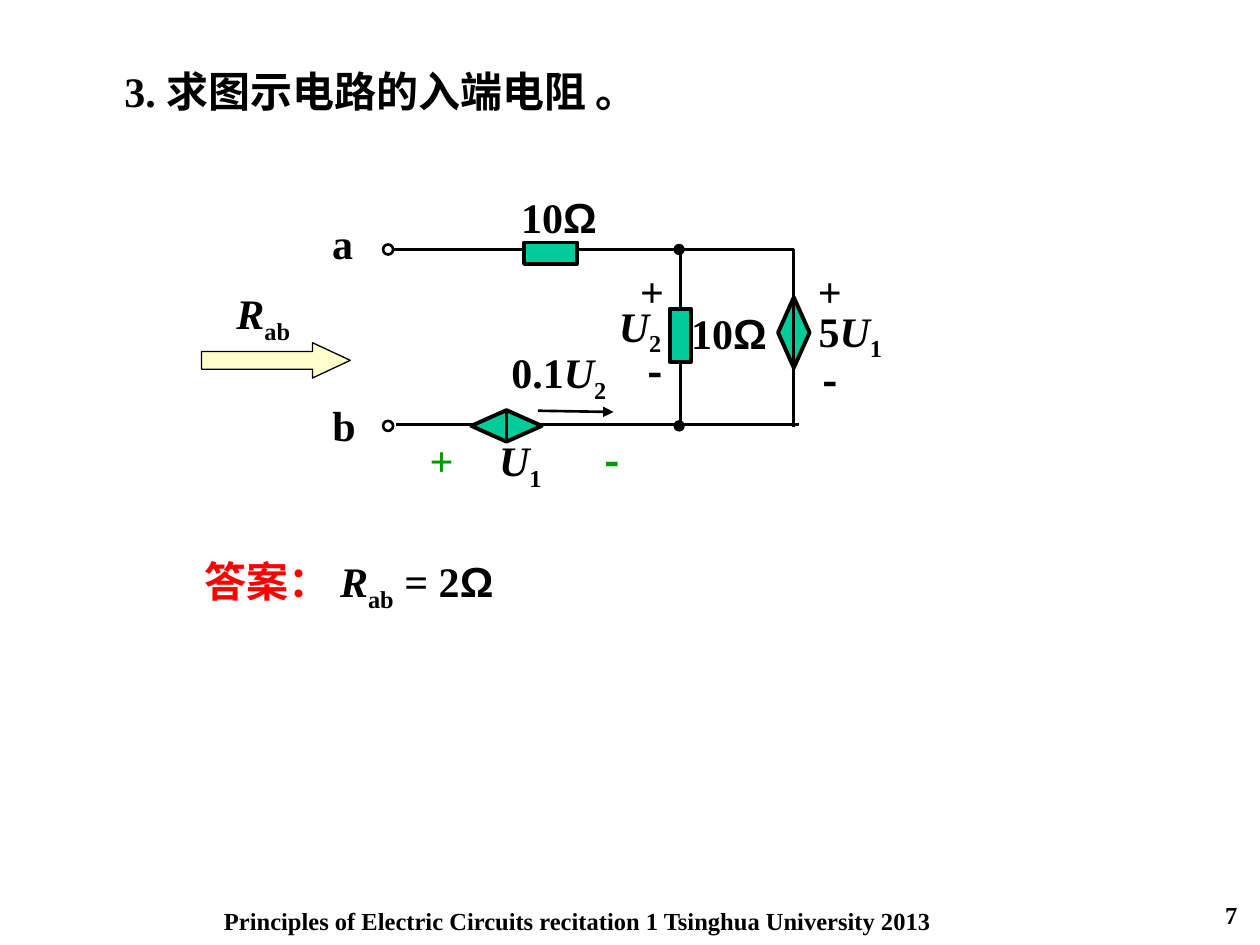
from dataclasses import dataclass

from lxml.etree import SubElement
from pptx import Presentation
from pptx.dml.color import RGBColor
from pptx.enum.shapes import MSO_CONNECTOR as Connector, MSO_SHAPE as Shape
from pptx.enum.text import MSO_ANCHOR as Anchor, MSO_AUTO_SIZE as AutoSize, PP_ALIGN as Align
from pptx.oxml.ns import qn
from pptx.util import Inches, Pt


@dataclass(frozen=True)
class Theme:
    ink: str = "000000"
    paper: str = "FFFFFF"
    element: str = "00CC99"
    polarity: str = "009900"
    answer: str = "FF0000"
    arrow: str = "FFFFCC"
    body_font: str = "Times New Roman"
    omega_font: str = "Arial"
    minus_font: str = "Noto Sans CJK SC"
    body_size: int = 24
    footer_size: int = 14
    wire: float = 1.5
    outline: float = 2.25
    thin: float = 0.75


@dataclass(frozen=True)
class Box:
    left: float
    top: float
    width: float
    height: float

    def inner(self, x, y, width, height):
        return Box(self.left + x, self.top + y, width, height)

    def centred(self, x, y, width, height):
        return self.inner(x - width / 2, y - height / 2, width, height)

    def lengths(self):
        return [Inches(v) for v in (self.left, self.top, self.width, self.height)]


THEME = Theme()
PLUS = [("+", {})]
MINUS = [("-", {"font": THEME.minus_font})]


def quantity(symbol, index, factor=""):
    runs = [(symbol, {"italic": True}), (index, {"subscript": True})]
    return [(factor, {})] + runs if factor else runs


def ohms(value):
    return [(value, {}), ("Ω", {"font": THEME.omega_font})]


def write_text(holder, runs, size=THEME.body_size, color=THEME.ink,
               align=Align.CENTER, anchor=Anchor.MIDDLE, wrap=False):
    frame = holder.text_frame
    frame.auto_size = AutoSize.NONE
    frame.word_wrap = wrap
    frame.vertical_anchor = anchor
    paragraph = frame.paragraphs[0]
    paragraph.alignment = align
    for text, style in runs:
        run = paragraph.add_run()
        run.text = text
        font = run.font
        font.name = style.get("font", THEME.body_font)
        font.size = Pt(size)
        font.bold = True
        font.italic = style.get("italic", False)
        font.color.rgb = RGBColor.from_string(style.get("color", color))
        if style.get("subscript"):
            run._r.get_or_add_rPr().set("baseline", "-25000")


def add_text(slide, box, runs, **style):
    write_text(slide.shapes.add_textbox(*box.lengths()), runs, **style)


def add_symbol(slide, kind, box, fill=THEME.element, width=THEME.outline):
    symbol = slide.shapes.add_shape(kind, *box.lengths())
    symbol.shadow.inherit = False
    symbol.fill.solid()
    symbol.fill.fore_color.rgb = RGBColor.from_string(fill)
    symbol.line.color.rgb = RGBColor.from_string(THEME.ink)
    symbol.line.width = Pt(width)
    return symbol


def add_wire(slide, box, start, end, width=THEME.wire, arrow=False):
    points = [Inches(v) for x, y in (start, end) for v in (box.left + x, box.top + y)]
    wire = slide.shapes.add_connector(Connector.STRAIGHT, *points)
    wire.line.color.rgb = RGBColor.from_string(THEME.ink)
    wire.line.width = Pt(width)
    if arrow:
        SubElement(wire.line._get_or_add_ln(), qn("a:tailEnd"), type="triangle")
    SubElement(wire._element.spPr, qn("a:effectLst"))


def draw_title(slide, box):
    title = slide.shapes.title
    title.left, title.top, title.width, title.height = box.lengths()
    write_text(title, [("3. 求图示电路的入端电阻 。", {})])


def draw_input_resistance(slide, box):
    arrow = add_symbol(slide, Shape.RIGHT_ARROW, box.inner(0, 0.49, box.width, 0.28),
                       THEME.arrow, THEME.thin)
    arrow.adjustments[0] = 0.5
    arrow.adjustments[1] = 1.07
    add_text(slide, box.inner(0.16, 0, 0.66, 0.56), quantity("R", "ab"))


def draw_circuit(slide, box):
    top, bottom = 0.58, 1.97
    terminal, branch, right = 0.57, 2.9, 3.8
    source_x, source_y = 1.52, 1.98
    resistor, dot = (0.17, 0.42), (0.08, 0.08)
    diamond = (0.25, 0.56)

    add_symbol(slide, Shape.DIAMOND, box.centred(right, 1.24, *diamond))
    for start, end in (
        ((branch, top), (branch, bottom)),
        ((right, top), (right, bottom + 0.02)),
        ((terminal + 0.05, top), (right, top)),
        ((terminal + 0.07, bottom), (right + 0.04, bottom)),
    ):
        add_wire(slide, box, start, end)

    add_symbol(slide, Shape.RECTANGLE, box.centred(1.87, top + 0.03, *resistor[::-1]))
    add_symbol(slide, Shape.RECTANGLE, box.centred(branch, 1.26, *resistor))
    add_symbol(slide, Shape.DIAMOND, box.centred(source_x, source_y, *diamond[::-1]))
    add_wire(slide, box, (source_x, source_y - 0.12), (source_x, source_y + 0.12),
             THEME.outline)
    add_wire(slide, box, (1.77, 1.86), (2.37, 1.87), arrow=True)

    for y in (top, bottom + 0.01):
        add_symbol(slide, Shape.OVAL, box.centred(branch - 0.01, y, *dot),
                   THEME.ink, THEME.thin)
        add_symbol(slide, Shape.OVAL, box.centred(terminal + 0.01, y, *dot),
                   THEME.paper, THEME.wire)

    for x, y, width, height, runs, color in (
        (0.04, 0.28, 0.36, 0.5, [("a", {})], THEME.ink),
        (0.04, 1.72, 0.38, 0.5, [("b", {})], THEME.ink),
        (1.49, 0.07, 0.89, 0.5, ohms("10"), THEME.ink),
        (2.84, 0.99, 0.89, 0.5, ohms("10"), THEME.ink),
        (2.48, 0.66, 0.39, 0.5, PLUS, THEME.ink),
        (2.31, 0.93, 0.54, 0.56, quantity("U", "2"), THEME.ink),
        (2.5, 1.29, 0.4, 0.5, MINUS, THEME.ink),
        (3.89, 0.66, 0.39, 0.5, PLUS, THEME.ink),
        (3.9, 0.97, 0.7, 0.56, quantity("U", "1", "5"), THEME.ink),
        (3.89, 1.36, 0.4, 0.5, MINUS, THEME.ink),
        (0.81, 2, 0.39, 0.5, PLUS, THEME.polarity),
        (1.36, 2, 0.54, 0.56, quantity("U", "1"), THEME.ink),
        (2.16, 2, 0.4, 0.5, MINUS, THEME.polarity),
        (1.46, 1.3, 0.95, 0.56, quantity("U", "2", "0.1"), THEME.ink),
    ):
        add_text(slide, box.inner(x, y, width, height), runs, color=color)


def draw_answer(slide, box):
    runs = [("答案： ", {"color": THEME.answer}), *quantity("R", "ab"), *ohms(" = 2")]
    add_text(slide, box, runs, wrap=True)


def draw_footer(slide, box):
    style = {"size": THEME.footer_size, "anchor": Anchor.TOP, "wrap": True}
    course = "Principles of Electric Circuits recitation 1 Tsinghua University 2013"
    add_text(slide, box.inner(0, 0.05, 6.05, 0.55), [(course, {})], **style)
    add_text(slide, box.inner(box.width - 2.08, 0, 2.08, 0.5), [("7", {})],
             align=Align.RIGHT, **style)


def main():
    deck = Presentation()
    deck.slide_width, deck.slide_height = Inches(10), Inches(7.5)
    slide = deck.slides.add_slide(deck.slide_layouts[5])
    draw_title(slide, Box(0.85, 0.47, 4.35, 0.5))
    draw_input_resistance(slide, Box(1.6, 2.23, 1.18, 0.77))
    draw_circuit(slide, Box(2.5, 1.4, 4.6, 2.56))
    draw_answer(slide, Box(1.49, 4.36, 2.56, 0.56))
    draw_footer(slide, Box(1.56, 7.09, 8.36, 0.6))
    deck.save("out.pptx")


if __name__ == "__main__":
    main()
